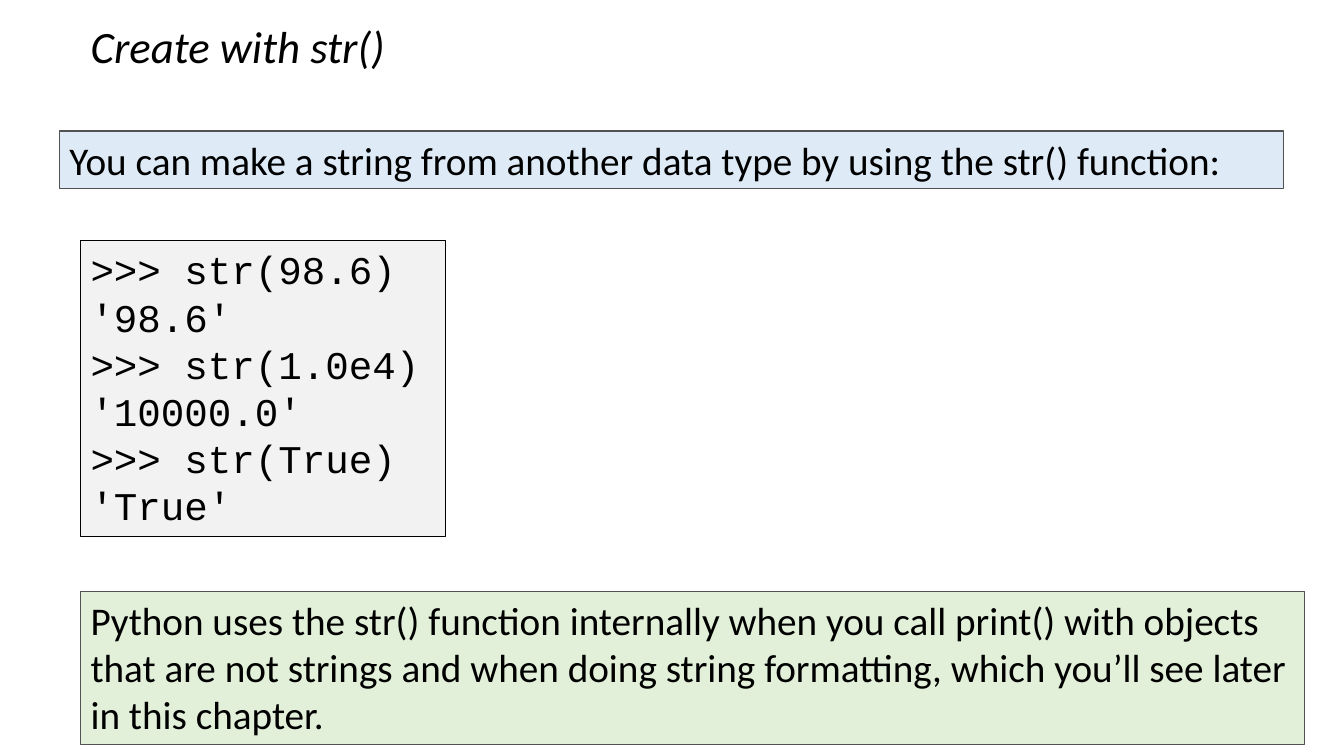
"""Build a slide on creating Python strings with str()."""
from pptx import Presentation
from pptx import util as u
from pptx.dml import color
from pptx.enum import shapes, text

CODE = """>>> str(98.6)
'98.6'
>>> str(1.0e4)
'10000.0'
>>> str(True)
'True'"""


def rgb(value):
    """Turn a hex string into a colour."""
    return color.RGBColor.from_string(value)


def write(frame, content, font="Calibri", size=28, ink="000000", italic=False):
    """Fill a text frame with one left-aligned paragraph per line."""
    frame.word_wrap = True
    frame.auto_size = text.MSO_AUTO_SIZE.NONE
    frame.vertical_anchor = text.MSO_ANCHOR.TOP
    for index, line in enumerate(content.split("\n")):
        para = frame.add_paragraph() if index else frame.paragraphs[0]
        para.alignment = text.PP_ALIGN.LEFT
        para.line_spacing = 1.0
        para.space_before = u.Pt(0)
        span = para.add_run()
        span.text = line
        span.font.name = font
        span.font.size = u.Pt(size)
        span.font.italic = italic
        span.font.color.rgb = rgb(ink)


class LessonPage:
    """Hold the page style and add its elements."""

    def __init__(self, deck, border="525252", border_width=0.75):
        """Add a title-only page to the deck."""
        self.page = deck.slides.add_slide(deck.slide_layouts[5])
        self.border = border
        self.border_width = border_width

    def title(self, content, left, top, width, height):
        """Place and write the title."""
        box = self.page.shapes.title
        box.left, box.top = u.Pt(left), u.Pt(top)
        box.width, box.height = u.Pt(width), u.Pt(height)
        write(box.text_frame, content, size=32, italic=True)

    def panel(self, content, left, top, width, height, fill, border=None, **style):
        """Add a filled, bordered box of text."""
        box = self.page.shapes.add_shape(
            shapes.MSO_SHAPE.RECTANGLE,
            u.Pt(left), u.Pt(top), u.Pt(width), u.Pt(height))
        box.shadow.inherit = False
        box.fill.solid()
        box.fill.fore_color.rgb = rgb(fill)
        box.line.color.rgb = rgb(border or self.border)
        box.line.width = u.Pt(self.border_width)
        write(box.text_frame, content, **style)


def main():
    """Build and save the deck."""
    deck = Presentation()
    deck.slide_width, deck.slide_height = u.Pt(960), u.Pt(540)
    margin, wide = 57.6, 874
    lesson = LessonPage(deck)
    lesson.title("Create with str()", margin, 10, 241, 46)
    lesson.panel(
        "You can make a string from another data type by using the str() function:",
        42.5, 93.6, wide, 41, "DEEBF7")
    lesson.panel(CODE, margin, 172, 261, 211, "F2F2F2",
                 border="000000", font="Courier New")
    lesson.panel(
        "Python uses the str() function internally when you call print() with "
        "objects that are not strings and when doing string formatting, which "
        "you’ll see later in this chapter.",
        margin, 422.6, wide, 109, "E2F0D9")
    deck.save("out.pptx")


if __name__ == "__main__":
    main()
